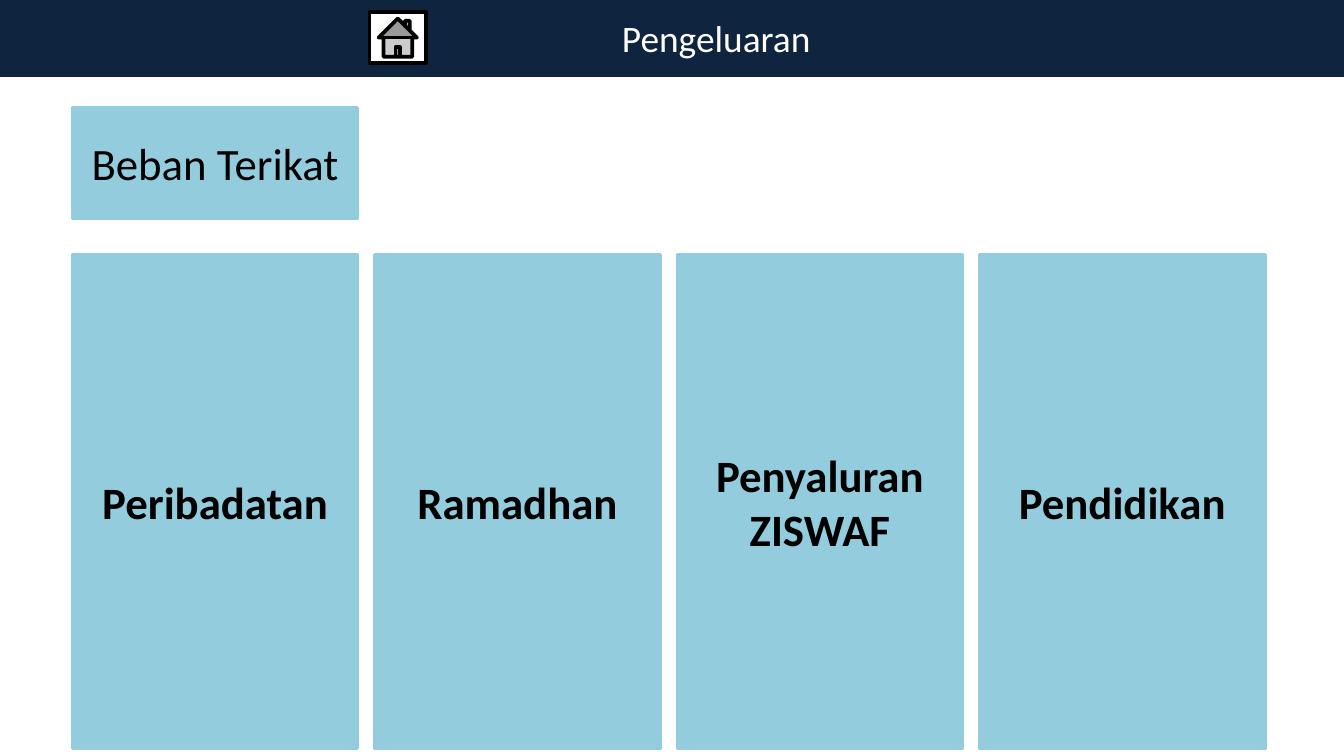
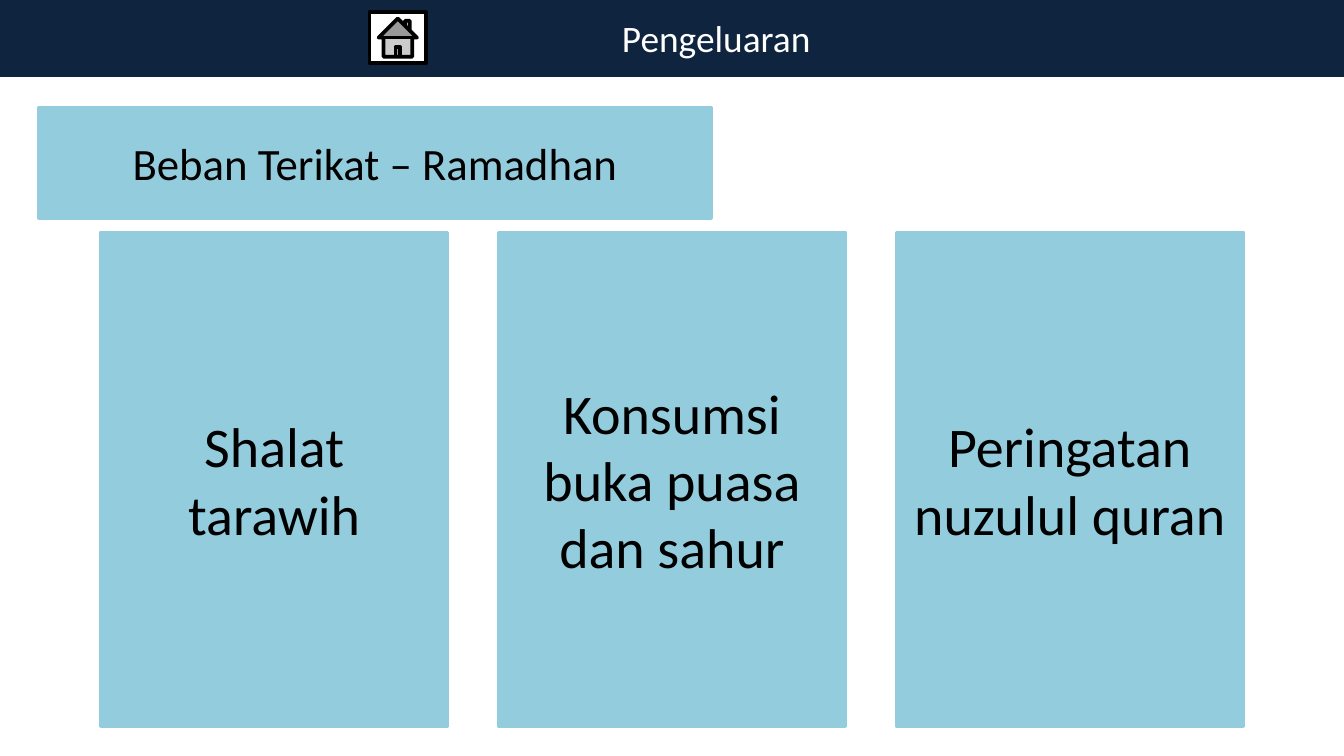
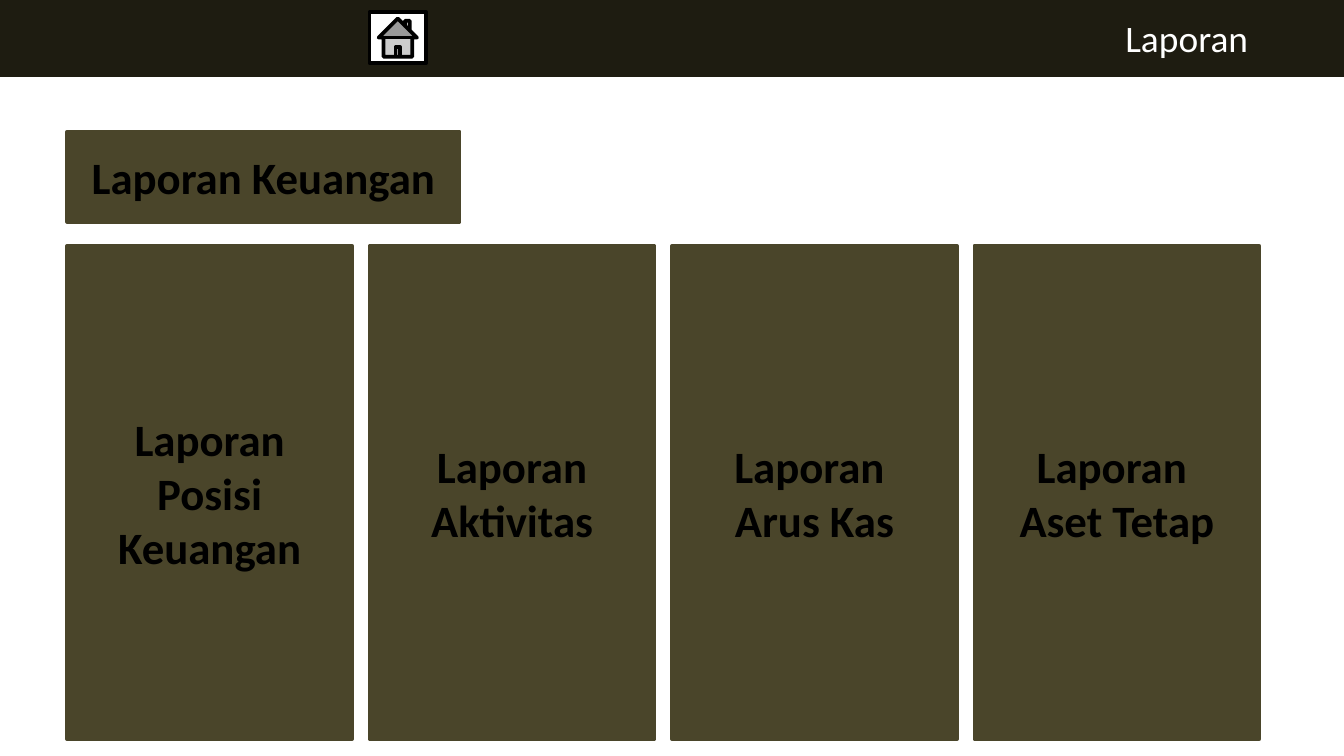
from pptx import Presentation
from pptx.dml.color import RGBColor
from pptx.enum import shapes, text
from pptx.util import Inches, Pt

FONT = "Calibri"
BLACK, WHITE = "000000", "FFFFFF"
NAVY, SKY = "0F243E", "93CDDD"
DARK_OLIVE, OLIVE = "1E1C11", "4A452A"
SLIDE_WIDTH = 10
SLIDE_HEIGHT = SLIDE_WIDTH * 9 / 16
BAND_HEIGHT = 0.56
CARD_HEIGHT = 3.67


def colour(hex_code):
    return RGBColor.from_string(hex_code)


def place(shape, box):
    shape.left, shape.top, shape.width, shape.height = map(Inches, box)


def write(frame, lines, size, ink, bold=False):
    """Fill a text frame with centred paragraphs, one per line."""
    frame.word_wrap = True
    for index, line in enumerate(lines):
        paragraph = frame.add_paragraph() if index else frame.paragraphs[0]
        paragraph.alignment = text.PP_ALIGN.CENTER
        run = paragraph.add_run()
        run.text = line
        run.font.name = FONT
        run.font.size = Pt(size)
        run.font.bold = bold
        run.font.color.rgb = colour(ink)


def add_block(slide, box, fill, line=None, kind=shapes.MSO_SHAPE.RECTANGLE):
    block = slide.shapes.add_shape(kind, *map(Inches, box))
    block.shadow.inherit = False
    block.fill.solid()
    block.fill.fore_color.rgb = colour(fill)
    block.line.color.rgb = colour(line or fill)
    block.line.width = Pt(2)
    return block


def add_label(slide, box, fill, lines, size=24, bold=False):
    frame = add_block(slide, box, fill).text_frame
    frame.vertical_anchor = text.MSO_ANCHOR.MIDDLE
    write(frame, lines, size, BLACK, bold)


def add_header(slide, title_text, title_left, fill):
    """Top band with the home button and the section title."""
    add_block(slide, (0, 0, SLIDE_WIDTH, BAND_HEIGHT), fill)
    add_block(slide, (2.75, 0.09, 0.42, 0.38), WHITE, BLACK,
              shapes.MSO_SHAPE.ACTION_BUTTON_HOME)
    title = slide.shapes.title
    place(title, (title_left, 0.06, 2, 0.44))
    title.text_frame.auto_size = text.MSO_AUTO_SIZE.NONE
    title.text_frame.vertical_anchor = text.MSO_ANCHOR.TOP
    write(title.text_frame, [title_text], 20, WHITE)
    # Bring the title in front of the band
    title.element.getparent().append(title.element)


def add_cards(slide, left, top, width, gap, fill, cards, size=24, bold=True):
    """Row of equal cards with equal gaps."""
    for column, lines in enumerate(cards):
        box = (left + column * (width + gap), top, width, CARD_HEIGHT)
        add_label(slide, box, fill, lines, size, bold)


def new_slide(deck):
    return deck.slides.add_slide(deck.slide_layouts[5])


def expense_slide(deck, heading, heading_box, **row):
    slide = new_slide(deck)
    add_header(slide, "Pengeluaran", 4.33, NAVY)
    add_label(slide, heading_box, SKY, [heading])
    add_cards(slide, fill=SKY, **row)


def report_slide(deck):
    slide = new_slide(deck)
    add_header(slide, "Laporan", 7.83, DARK_OLIVE)
    add_label(slide, (0.5, 0.98, 2.92, 0.67), OLIVE, ["Laporan Keuangan"], bold=True)
    add_cards(slide, 0.5, 1.83, 2.12, 0.13, OLIVE, [
        ["Laporan Posisi Keuangan"],
        ["Laporan Aktivitas"],
        ["Laporan ", "Arus Kas"],
        ["Laporan ", "Aset Tetap"],
    ])


def main():
    deck = Presentation()
    deck.slide_width, deck.slide_height = Inches(SLIDE_WIDTH), Inches(SLIDE_HEIGHT)

    expense_slide(
        deck, "Beban Terikat", (0.54, 0.8, 2.12, 0.82),
        left=0.54, top=1.9, width=2.12, gap=0.13,
        cards=[["Peribadatan"], ["Ramadhan"], ["Penyaluran ZISWAF"], ["Pendidikan"]])
    expense_slide(
        deck, "Beban Terikat – Ramadhan", (0.29, 0.8, 5, 0.82),
        left=0.75, top=1.73, width=2.58, gap=0.38, size=30, bold=False,
        cards=[["Shalat tarawih"], ["Konsumsi buka puasa dan sahur"],
               ["Peringatan nuzulul quran"]])
    report_slide(deck)

    deck.save("out.pptx")


if __name__ == "__main__":
    main()
